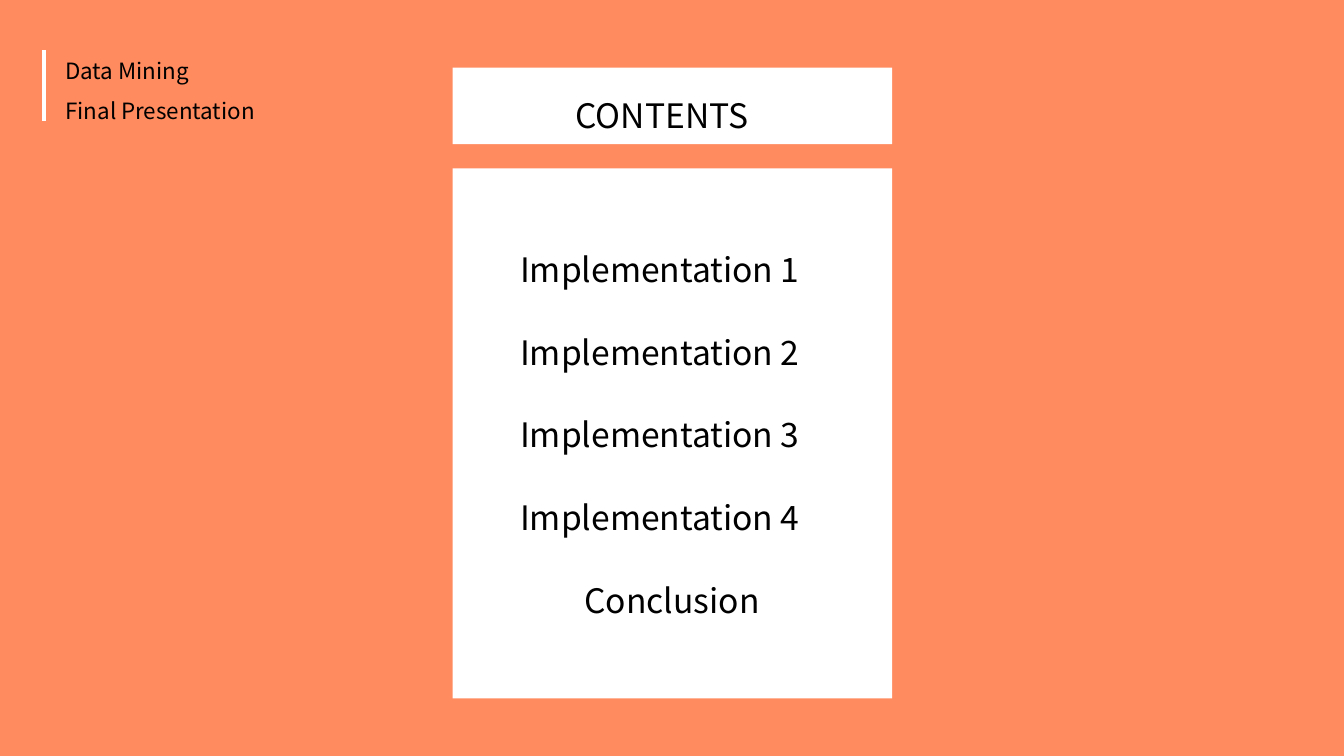
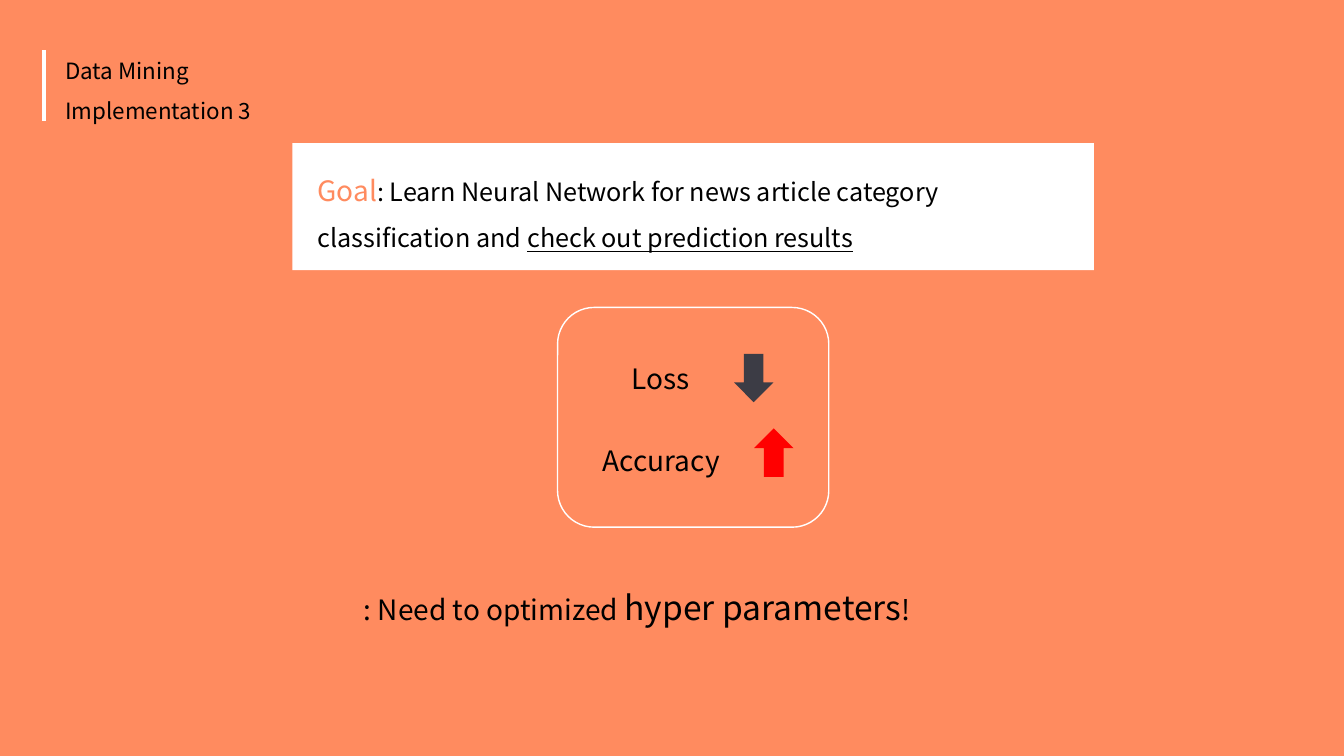
from lxml import etree
from pptx import Presentation
from pptx.dml import color
from pptx.enum import shapes, text
from pptx.oxml import ns
from pptx.util import Inches, Pt

FONT = "Noto Sans CJK KR"
ORANGE = "FF8B5F"
WHITE = "FFFFFF"
BLACK = "000000"
SLATE = "3C3C45"
RED = "FF0000"

SHAPE = shapes.MSO_SHAPE
LEFT = text.PP_ALIGN.LEFT
CENTER = text.PP_ALIGN.CENTER


def paint(color_format, hex_color):
    color_format.rgb = color.RGBColor.from_string(hex_color)


def fill_solid(fill, hex_color):
    fill.solid()
    paint(fill.fore_color, hex_color)


def add_run(paragraph, words, size, hex_color=BLACK, underline=None):
    run = paragraph.add_run()
    run.text = words
    run.font.name = FONT
    run.font.size = Pt(size)
    run.font.underline = underline
    paint(run.font.color, hex_color)


def add_text(slide, left, top, width, height, paragraphs, align=LEFT):
    box = slide.shapes.add_textbox(Inches(left), Inches(top), Inches(width), Inches(height))
    frame = box.text_frame
    frame.word_wrap = True
    frame.auto_size = text.MSO_AUTO_SIZE.SHAPE_TO_FIT_TEXT
    for index, runs in enumerate(paragraphs):
        paragraph = frame.add_paragraph() if index else frame.paragraphs[0]
        paragraph.alignment = align
        paragraph.line_spacing = 1.5
        for run in runs:
            add_run(paragraph, *run)


def add_shape(slide, kind, left, top, width, height, fill=None, outline=None):
    shape = slide.shapes.add_shape(kind, Inches(left), Inches(top), Inches(width), Inches(height))
    shape.shadow.inherit = False
    if fill:
        fill_solid(shape.fill, fill)
    else:
        shape.fill.background()
    if outline:
        paint(shape.line.color, outline)
        shape.line.width = Pt(1)
    else:
        shape.line.fill.background()


def add_header(slide, section):
    add_text(slide, 0.55, 0.38, 3.55, 0.86, [[("Data Mining", 16)], [(section, 16)]])
    bar = slide.shapes.add_connector(
        shapes.MSO_CONNECTOR.STRAIGHT, Inches(0.44), Inches(0.5), Inches(0.44), Inches(1.2))
    paint(bar.line.color, WHITE)
    bar.line.width = Pt(3)
    properties = bar._element.find(ns.qn("p:spPr"))
    etree.SubElement(properties, ns.qn("a:effectLst"))


def add_slide(presentation, section):
    slide = presentation.slides.add_slide(presentation.slide_layouts[6])
    add_header(slide, section)
    return slide


def build_contents(presentation):
    slide = add_slide(presentation, "Final Presentation")
    add_shape(slide, SHAPE.RECTANGLE, 4.49, 1.67, 4.36, 5.26, WHITE)
    add_shape(slide, SHAPE.RECTANGLE, 4.49, 0.67, 4.36, 0.76, WHITE)
    add_text(slide, 5.61, 0.69, 2.11, 0.64, [[("CONTENTS", 24)]])
    first_top, pitch, count = 2.22, 0.82, 4
    for index in range(count):
        add_text(slide, 5.06, first_top + index * pitch, 3.39, 0.64,
                 [[(f"Implementation {index + 1}", 24)]])
    add_text(slide, 4.97, first_top + count * pitch, 3.39, 0.64, [[("Conclusion", 24)]], CENTER)


def build_goal(presentation):
    slide = add_slide(presentation, "Implementation 3")
    add_shape(slide, SHAPE.RECTANGLE, 2.9, 1.42, 7.95, 1.26, WHITE)
    add_text(slide, 3.05, 1.51, 7.8, 1.01, [[
        ("Goal", 20, ORANGE),
        (": Learn Neural Network for news article category classification and ", 18),
        ("check out prediction results", 18, BLACK, True),
    ]])
    add_shape(slide, SHAPE.ROUNDED_RECTANGLE, 5.53, 3.05, 2.69, 2.18, outline=WHITE)
    add_text(slide, 6.17, 3.37, 0.9, 0.55, [[("Loss", 20)]])
    add_text(slide, 5.88, 4.18, 1.75, 0.55, [[("Accuracy", 20)]])
    add_shape(slide, SHAPE.DOWN_ARROW, 7.28, 3.51, 0.39, 0.48, SLATE)
    add_shape(slide, SHAPE.UP_ARROW, 7.48, 4.25, 0.39, 0.48, RED)
    add_text(slide, 3.51, 5.57, 6.87, 0.64, [[
        (": Need to optimized ", 20),
        ("hyper parameters", 24),
        ("!", 20),
    ]])


def main():
    presentation = Presentation()
    presentation.slide_width = Inches(13.33)
    presentation.slide_height = Inches(7.5)
    fill_solid(presentation.slide_master.background.fill, ORANGE)
    build_contents(presentation)
    build_goal(presentation)
    presentation.save("out.pptx")


if __name__ == "__main__":
    main()
